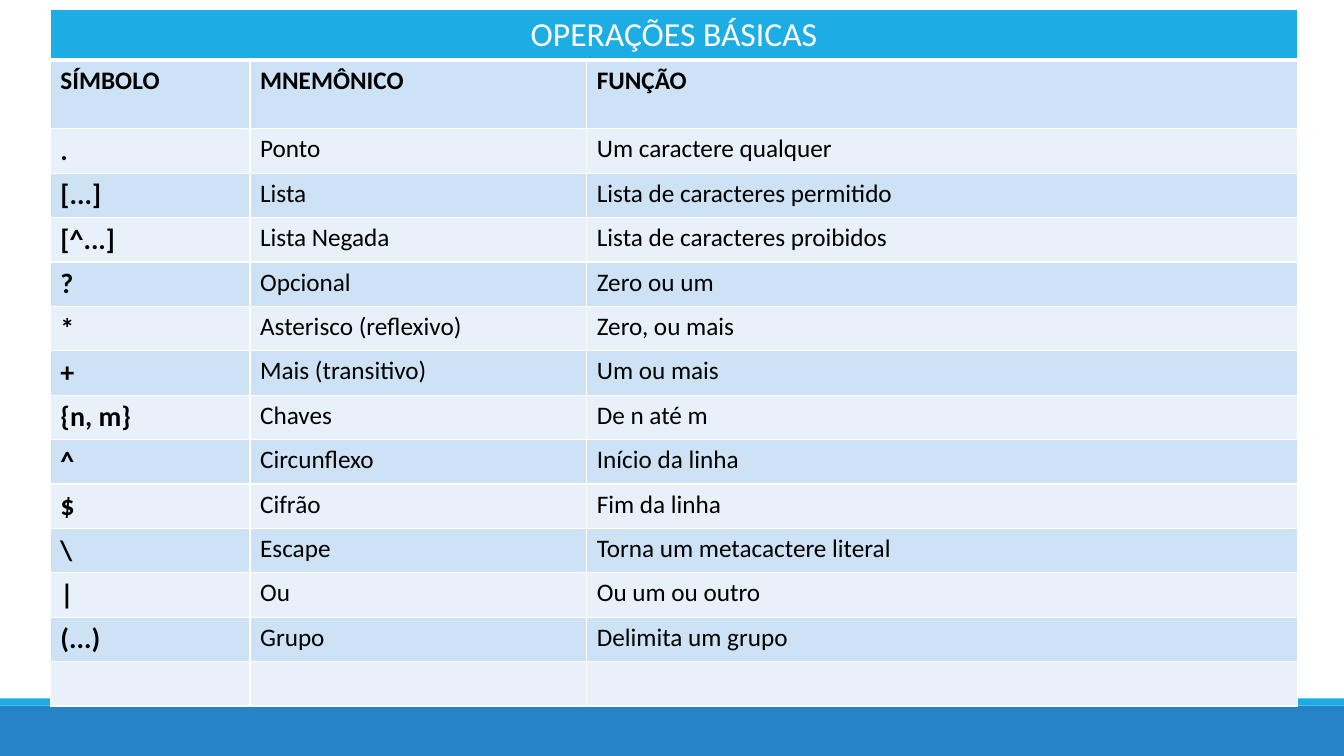
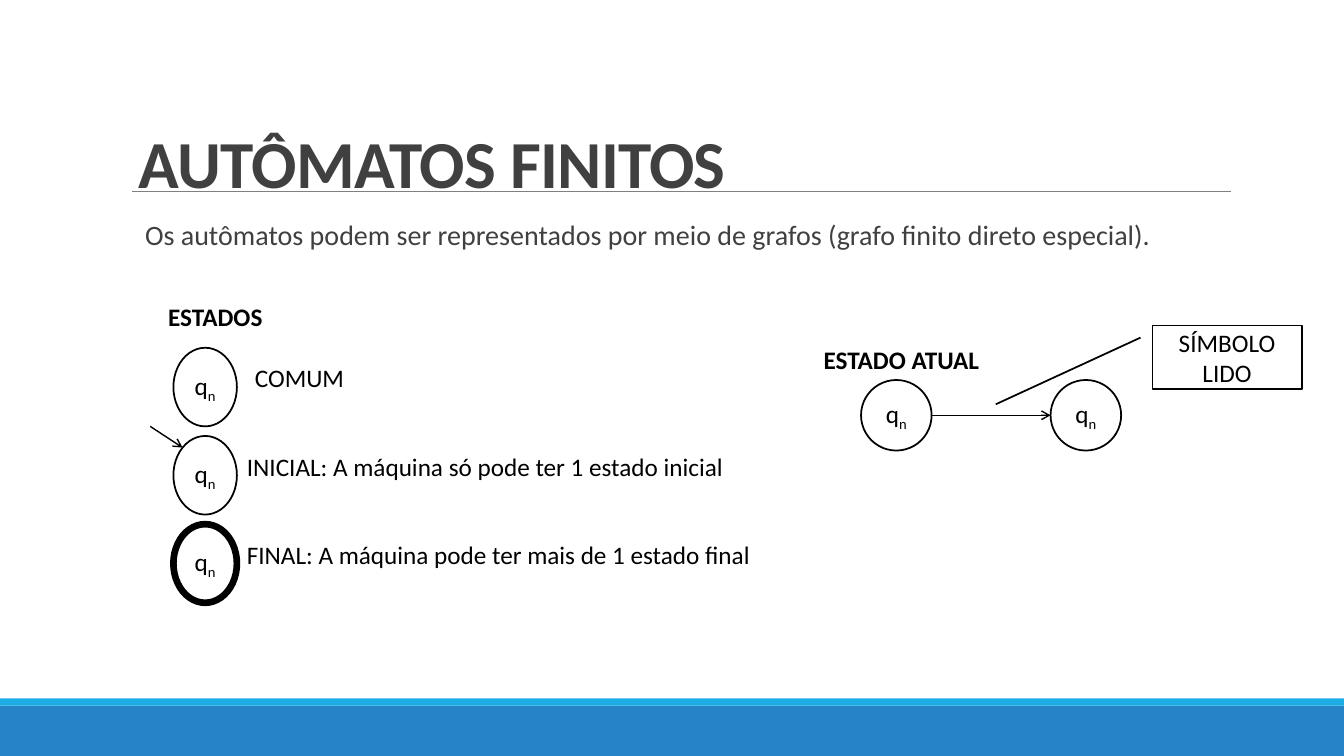
import pptx
import pptx.util
import pptx.dml.color
import pptx.enum.shapes
import pptx.enum.text
import pptx.oxml
import pptx.oxml.ns

Inches = pptx.util.Inches
Pt = pptx.util.Pt
RGBColor = pptx.dml.color.RGBColor
SHAPE = pptx.enum.shapes.MSO_SHAPE
STRAIGHT = pptx.enum.shapes.MSO_CONNECTOR.STRAIGHT
ALIGN = pptx.enum.text.PP_ALIGN
ANCHOR = pptx.enum.text.MSO_ANCHOR
AUTO_SIZE = pptx.enum.text.MSO_AUTO_SIZE

# Shared look
FONT = "Calibri"
BLUE = RGBColor(0x26, 0x83, 0xC6)
CYAN = RGBColor(0x1C, 0xAD, 0xE4)
BAND_DARK = RGBColor(0xCD, 0xE3, 0xF5)
BAND_LIGHT = RGBColor(0xE8, 0xF1, 0xFA)
GREY = RGBColor(0x80, 0x80, 0x80)
TEXT_GREY = RGBColor(0x40, 0x40, 0x40)
BLACK = RGBColor(0, 0, 0)
WHITE = RGBColor(0xFF, 0xFF, 0xFF)

PLAIN = {"size": Pt(18), "bold": False}
BOLD = {"size": Pt(18), "bold": True}
SYMBOL = {"size": Pt(20), "bold": True}
HEADING = {"size": Pt(24), "bold": False}
TITLE = {"size": Pt(48), "bold": True}
BODY = {"size": Pt(20), "bold": False}

OPERATIONS = [
    (".", "Ponto", "Um caractere qualquer"),
    ("[...]", "Lista", "Lista de caracteres permitido"),
    ("[^...]", "Lista Negada", "Lista de caracteres proibidos"),
    ("?", "Opcional", "Zero ou um"),
    ("*", "Asterisco (reflexivo)", "Zero, ou mais"),
    ("+", "Mais (transitivo)", "Um ou mais"),
    ("{n, m}", "Chaves", "De n até m"),
    ("^", "Circunflexo", "Início da linha"),
    ("$", "Cifrão", "Fim da linha"),
    ("\\", "Escape", "Torna um metacactere literal"),
    ("|", "Ou", "Ou um ou outro"),
    ("(...)", "Grupo", "Delimita um grupo"),
    ("", "", ""),
]

# Label, its left edge, outline width of the state
STATES = [
    ("COMUM", 2.43, 1.25),
    ("INICIAL: A máquina só pode ter 1 estado inicial", 2.35, 1.25),
    ("FINAL: A máquina pode ter mais de 1 estado final", 2.35, 4.75),
]


def add_run(p, text, fmt, color=BLACK):
    r = p.add_run()
    r.text = text
    for name, value in {"name": FONT, **fmt}.items():
        setattr(r.font, name, value)
    r.font.color.rgb = color
    return r


def add_shape(shapes, kind, box, fill, line_width=None):
    sp = shapes.add_shape(kind, *map(Inches, box))
    sp.shadow.inherit = False
    sp.fill.solid()
    sp.fill.fore_color.rgb = fill
    if line_width is None:
        sp.line.fill.background()
    else:
        sp.line.color.rgb = BLACK
        sp.line.width = Pt(line_width)
    return sp


def centre_text(sp, wrap):
    tf = sp.text_frame
    tf.word_wrap = wrap
    tf.vertical_anchor = ANCHOR.MIDDLE
    p = tf.paragraphs[0]
    p.alignment = ALIGN.CENTER
    return p


def add_line(shapes, start, end, color=BLACK, width=1, arrow=False):
    cx = shapes.add_connector(STRAIGHT, *map(Inches, start + end))
    cx.line.color.rgb = color
    cx.line.width = Pt(width)
    sp_pr = cx._element.spPr
    if arrow:
        tail = pptx.oxml.ns.qn("a:tailEnd")
        cx.line._get_or_add_ln().append(
            sp_pr.makeelement(tail, {"type": "arrow"}))
    sp_pr.append(sp_pr.makeelement(pptx.oxml.ns.qn("a:effectLst"), {}))


def add_label(shapes, box, text, fmt=PLAIN):
    tf = shapes.add_textbox(*map(Inches, box)).text_frame
    tf.word_wrap = False
    tf.auto_size = AUTO_SIZE.SHAPE_TO_FIT_TEXT
    add_run(tf.paragraphs[0], text, fmt)


def add_text(shapes, box, text, fmt, spacing, anchor):
    tf = shapes.add_textbox(*map(Inches, box)).text_frame
    tf.word_wrap = True
    tf.vertical_anchor = anchor
    p = tf.paragraphs[0]
    p.line_spacing = spacing
    return add_run(p, text, fmt, TEXT_GREY)


def add_state(shapes, box, line_width=1.25):
    sp = add_shape(shapes, SHAPE.OVAL, box, WHITE, line_width)
    p = centre_text(sp, False)
    add_run(p, "q", PLAIN)
    sub = add_run(p, "n", PLAIN)
    sub.font._element.set("baseline", "-25000")


def set_cell(cell, text, fmt, fill, color=BLACK, bottom=1):
    tc_pr = cell._tc.get_or_add_tcPr()
    for side, width in {"L": 1, "R": 1, "T": 1, "B": bottom}.items():
        tc_pr.append(pptx.oxml.parse_xml(
            f'<a:ln{side} {pptx.oxml.ns.nsdecls("a")} w="{Pt(width)}">'
            f'<a:solidFill><a:srgbClr val="{WHITE}"/></a:solidFill>'
            f'</a:ln{side}>'))
    cell.fill.solid()
    cell.fill.fore_color.rgb = fill
    if text:
        add_run(cell.text_frame.paragraphs[0], text, fmt, color)


def add_base_slide(prs):
    s = prs.slides.add_slide(prs.slide_layouts[6])
    add_shape(s.shapes, SHAPE.RECTANGLE, (0, 7, 13.33, 0.5), BLUE)
    add_shape(s.shapes, SHAPE.RECTANGLE, (0, 6.93, 13.33, 0.07), CYAN)
    add_line(s.shapes, (1.31, 1.9), (12.21, 1.9), GREY, 0.5)
    return s


def add_operations_table(s):
    rows = [("SÍMBOLO", "MNEMÔNICO", "FUNÇÃO")] + OPERATIONS
    heights = [0.49, 0.68] + [0.44] * len(OPERATIONS)
    box = (0.5, 0.09, 12.37, sum(heights))
    table = s.shapes.add_table(len(heights), 3, *map(Inches, box)).table
    table.first_row = table.horz_banding = False
    for col, width in zip(table.columns, (1.98, 3.34, 7.05)):
        col.width = Inches(width)
    for row, height in zip(table.rows, heights):
        row.height = Inches(height)

    # Heading across all columns
    heading = table.cell(0, 0)
    heading.merge(table.cell(0, 2))
    for c in range(3):
        set_cell(table.cell(0, c), "" if c else "OPERAÇÕES BÁSICAS",
                 HEADING, CYAN, WHITE, bottom=3)
    heading.text_frame.paragraphs[0].alignment = ALIGN.CENTER

    # Banded rows
    for i, row in enumerate(rows):
        fill = BAND_LIGHT if i % 2 else BAND_DARK
        formats = (SYMBOL, PLAIN, PLAIN) if i else (BOLD,) * 3
        for c, (text, fmt) in enumerate(zip(row, formats)):
            set_cell(table.cell(i + 1, c), text, fmt, fill)


def add_state_kinds(s):
    shapes = s.shapes.add_group_shape().shapes
    add_label(shapes, (1.57, 2.94, 1.14, 0.4), "ESTADOS", BOLD)
    widths = (1.09, 4.98, 5.26)
    for i, ((text, left, outline), width) in enumerate(zip(STATES, widths)):
        top = 3.45 + 0.875 * i
        add_state(shapes, (1.72, top, 0.63, 0.78), outline)
        add_label(shapes, (left, top + 0.1, width, 0.5), text)
    add_line(shapes, (1.49, 4.23), (1.81, 4.44), arrow=True)


def add_transition(s):
    shapes = s.shapes.add_group_shape().shapes
    for left in (8.54, 10.42):
        add_state(shapes, (left, 3.77, 0.7, 0.7))
    add_line(shapes, (9.24, 4.12), (10.42, 4.12), arrow=True)
    add_label(shapes, (8.07, 3.37, 1.76, 0.4), "ESTADO ATUAL", BOLD)
    callout = add_shape(shapes, SHAPE.LINE_CALLOUT_1,
                        (11.43, 3.23, 1.48, 0.63), WHITE, 1.25)
    for i, value in enumerate((0.19, -0.08, 1.24, -1.05)):
        callout.adjustments[i] = value
    add_run(centre_text(callout, True), "SÍMBOLO LIDO", PLAIN)


def main():
    prs = pptx.Presentation()
    prs.slide_width, prs.slide_height = Inches(13.33), Inches(7.5)

    # Basic operations
    add_operations_table(add_base_slide(prs))

    # Finite automata
    s = add_base_slide(prs)
    title = add_text(s.shapes, (1.28, 0.89, 9, 1.17), "AUTÔMATOS FINITOS",
                     TITLE, 0.85, ANCHOR.BOTTOM)
    title.font._element.set("spc", "-50")
    add_text(s.shapes, (1.34, 2.15, 10.9, 1.45),
             "Os autômatos podem ser representados por meio de grafos "
             "(grafo finito direto especial).", BODY, 0.9, ANCHOR.TOP)
    add_state_kinds(s)
    add_transition(s)

    prs.save("out.pptx")


if __name__ == "__main__":
    main()
